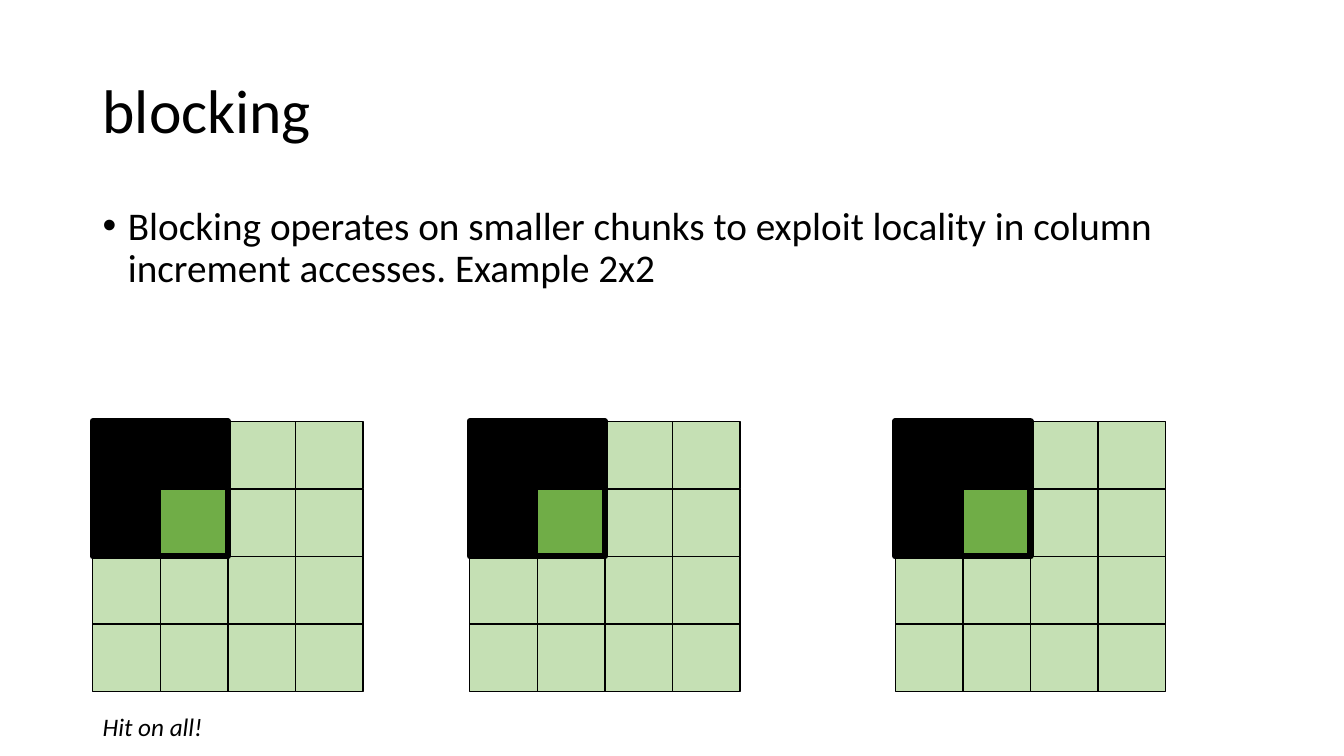
from lxml import etree
from pptx import Presentation
from pptx.dml.color import RGBColor
from pptx.enum.shapes import MSO_SHAPE
from pptx.enum.text import MSO_ANCHOR
from pptx.oxml.ns import qn
from pptx.util import Inches, Pt

RECTANGLE = MSO_SHAPE.RECTANGLE
TOP, MIDDLE = MSO_ANCHOR.TOP, MSO_ANCHOR.MIDDLE
FONT = "Calibri"
BLACK, LIGHT, GREEN = "000000", "C5E0B4", "70AD47"
MARGIN = 0.92
CELL = 0.67
MATRIX_TOP = 4.18
MATRIX_LEFTS = (MARGIN, 4.66, 8.88)
MATRIX_SIZE = 4
BLOCK_SIZE = 2
CELL_COLOURS = {(0, 0): BLACK, (0, 1): BLACK, (1, 0): BLACK, (1, 1): GREEN}


def colour(value):
    return RGBColor.from_string(value)


def add_text(slide, box, words, size, anchor=TOP, spacing=None, italic=None,
             wrap=True):
    frame = slide.shapes.add_textbox(*map(Inches, box)).text_frame
    frame.word_wrap = wrap
    frame.vertical_anchor = anchor
    paragraph = frame.paragraphs[0]
    paragraph.line_spacing = spacing
    run = paragraph.add_run()
    run.text = words
    run.font.name = FONT
    run.font.size = Pt(size)
    run.font.italic = italic
    run.font.color.rgb = colour(BLACK)
    return paragraph


def add_bullet(paragraph, indent):
    properties = paragraph._p.get_or_add_pPr()
    properties.set("marL", str(Inches(indent)))
    properties.set("indent", str(-Inches(indent)))
    etree.SubElement(properties, qn("a:buFont")).set("typeface", "Arial")
    etree.SubElement(properties, qn("a:buChar")).set("char", "•")


def add_square(slide, left, top, side, line_width, fill=None):
    square = slide.shapes.add_shape(
        RECTANGLE, *map(Inches, (left, top, side, side)))
    square.shadow.inherit = False
    if fill:
        square.fill.solid()
        square.fill.fore_color.rgb = colour(fill)
    else:
        square.fill.background()
    square.line.color.rgb = colour(BLACK)
    square.line.width = Pt(line_width)


def add_matrix(slide, left):
    for row in range(MATRIX_SIZE):
        for column in range(MATRIX_SIZE):
            add_square(slide, left + column * CELL, MATRIX_TOP + row * CELL,
                       CELL, 1, CELL_COLOURS.get((row, column), LIGHT))


def main():
    deck = Presentation()
    deck.slide_width, deck.slide_height = Inches(13.33), Inches(7.5)
    slide = deck.slides.add_slide(deck.slide_layouts[6])

    add_text(slide, (MARGIN, 0.4, 11.5, 1.45), "blocking", 44, MIDDLE, 0.9)
    explanation = add_text(
        slide, (MARGIN, 2, 11.5, 0.98),
        "Blocking operates on smaller chunks to exploit locality in column "
        "increment accesses. Example 2x2", 28, spacing=0.9)
    add_bullet(explanation, 0.25)

    for left in MATRIX_LEFTS:
        add_matrix(slide, left)
    for left in MATRIX_LEFTS:
        add_square(slide, left, MATRIX_TOP, BLOCK_SIZE * CELL, 4.5)

    add_text(slide, (MARGIN, 7.01, 1.2, 0.4), "Hit on all!", 18,
             italic=True, wrap=False)
    deck.save("out.pptx")


if __name__ == "__main__":
    main()
